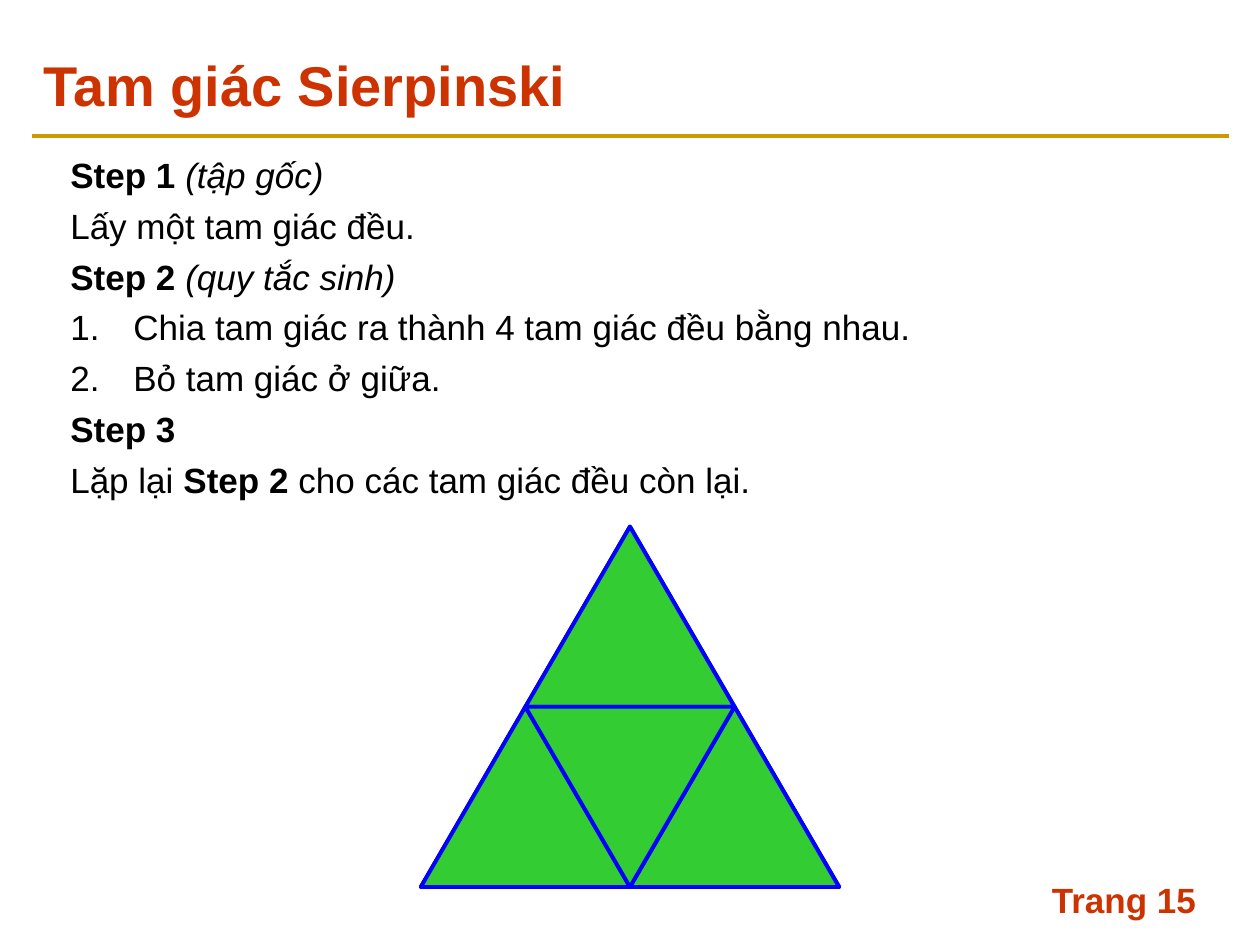
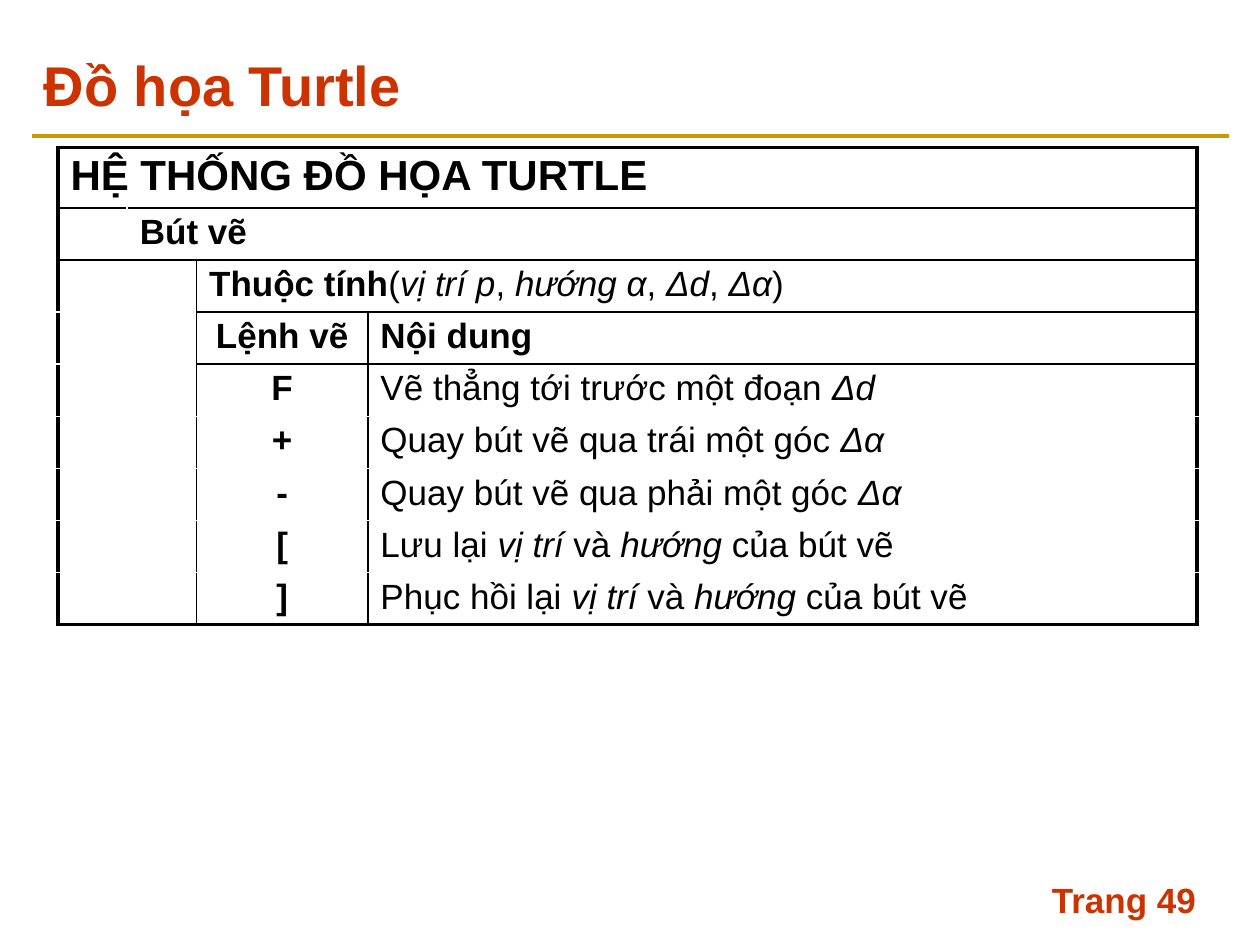
from lxml.etree import SubElement
from pptx import Presentation
from pptx.dml.color import RGBColor
from pptx.enum.shapes import MSO_CONNECTOR
from pptx.enum.text import MSO_ANCHOR, PP_ALIGN
from pptx.oxml.ns import qn
from pptx.util import Inches, Pt

# Shared look
FONT = "Arial"
BLACK, WHITE = "000000", "FFFFFF"
TITLE_RED, RULE_GOLD = "CC3300", "CC9900"
TRIANGLE_FILL, TRIANGLE_LINE = "33CC33", "0000FF"
LINE_WIDTH = 2.25
BODY_SIZE = 20

# Slide 1: steps as (runs, numbered); a run is (text, style letters b and i)
STEPS_TITLE, STEPS_PAGE = "Tam giác Sierpinski", 15
STEPS = [
    ([("Step 1", "b"), (" (tập gốc)", "i")], False),
    ([("Lấy một tam giác đều.", "")], False),
    ([("Step 2", "b"), (" (quy tắc sinh)", "i")], False),
    ([("Chia tam giác ra thành 4 tam giác đều bằng nhau.", "")], True),
    ([("Bỏ tam giác ở giữa.", "")], True),
    ([("Step 3", "b")], False),
    ([("Lặp lại ", ""), ("Step 2", "b"),
      (" cho các tam giác đều còn lại.", "")], False),
]
APEX, RIGHT_CORNER, LEFT_CORNER = (5, 4.18), (6.66, 7.04), (3.34, 7.04)

# Slide 2: table cells by (row, column)
TURTLE_TITLE, TURTLE_PAGE = "Đồ họa Turtle", 49
COLUMN_WIDTHS = [0.55, 0.55, 1.36, 6.58]
ROW_HEIGHTS = [0.47] + [0.41] * 8
HEADINGS = {
    (0, 0): [("HỆ THỐNG ĐỒ HỌA TURTLE", "b")],
    (1, 1): [("Bút vẽ", "b")],
    (2, 2): [("Thuộc tính", "b"), ("(", ""), ("vị trí p", "i"), (", ", ""),
             ("hướng α", "i"), (", ", ""), ("Δd", "i"), (", ", ""),
             ("Δα", "i"), (")", "")],
}
COMMANDS = [
    ("Lệnh vẽ", [("Nội dung", "b")]),
    ("F", [("Vẽ thẳng tới trước một đoạn ", ""), ("Δd", "i")]),
    ("+", [("Quay bút vẽ qua trái một góc ", ""), ("Δα", "i")]),
    ("-", [("Quay bút vẽ qua phải một góc ", ""), ("Δα", "i")]),
    ("[", [("Lưu lại ", ""), ("vị trí", "i"), (" và ", ""),
           ("hướng", "i"), (" của bút vẽ", "")]),
    ("]", [("Phục hồi lại ", ""), ("vị trí", "i"), (" và", ""),
           (" hướng", "i"), (" của bút vẽ", "")]),
]
FIRST_COMMAND_ROW = 3


def color(value):
    return RGBColor.from_string(value)


def add_runs(paragraph, runs, size=BODY_SIZE, text_color=BLACK):
    for text, style in runs:
        run = paragraph.add_run()
        run.text = text
        formats = {"name": FONT, "size": Pt(size),
                   "bold": "b" in style, "italic": "i" in style}
        for name, value in formats.items():
            setattr(run.font, name, value)
        run.font.color.rgb = color(text_color)


def add_text_box(slide, left, top, width, height, anchor=MSO_ANCHOR.TOP):
    box = slide.shapes.add_textbox(
        Inches(left), Inches(top), Inches(width), Inches(height))
    box.text_frame.word_wrap = True
    box.text_frame.vertical_anchor = anchor
    return box.text_frame


def add_framed_slide(presentation, title, page):
    """Add a slide with the title, gold rule and page number."""
    slide = presentation.slides.add_slide(presentation.slide_layouts[6])
    rule = slide.shapes.add_connector(
        MSO_CONNECTOR.STRAIGHT,
        Inches(0.25), Inches(1.08), Inches(9.75), Inches(1.08))
    rule.line.color.rgb = color(RULE_GOLD)
    rule.line.width = Pt(LINE_WIDTH)
    SubElement(rule._element.spPr, qn("a:effectLst"))

    title_frame = add_text_box(slide, 0.25, 0.33, 9.5, 0.67, MSO_ANCHOR.MIDDLE)
    add_runs(title_frame.paragraphs[0], [(title, "b")], 32, TITLE_RED)
    page_frame = add_text_box(slide, 8.25, 6.92, 1.5, 0.5)
    add_runs(page_frame.paragraphs[0], [(f"Trang {page}", "b")],
             BODY_SIZE, TITLE_RED)
    return slide


def add_steps(slide):
    frame = add_text_box(slide, 0.46, 1.17, 9.1, 2.83)
    for index, (runs, numbered) in enumerate(STEPS):
        paragraph = frame.add_paragraph() if index else frame.paragraphs[0]
        properties = paragraph._p.get_or_add_pPr()
        properties.set("marL", str(Inches(0.5)))
        properties.set("indent", str(Inches(-0.5)))
        if numbered:
            SubElement(properties, qn("a:buAutoNum"), type="arabicPeriod")
        else:
            SubElement(properties, qn("a:buNone"))
        if index:
            paragraph.space_before = Pt(5)
        add_runs(paragraph, runs)


def midpoint(start, end):
    return (start[0] + end[0]) / 2, (start[1] + end[1]) / 2


def add_triangle(slide, *corners):
    points = [(Inches(x), Inches(y)) for x, y in corners]
    builder = slide.shapes.build_freeform(*points[0])
    builder.add_line_segments(points[1:], close=True)
    triangle = builder.convert_to_shape()
    triangle.shadow.inherit = False
    triangle.fill.solid()
    triangle.fill.fore_color.rgb = color(TRIANGLE_FILL)
    triangle.line.color.rgb = color(TRIANGLE_LINE)
    triangle.line.width = Pt(LINE_WIDTH)
    SubElement(triangle.line._get_or_add_ln(), qn("a:round"))


def add_sierpinski(slide):
    left_middle = midpoint(APEX, LEFT_CORNER)
    right_middle = midpoint(APEX, RIGHT_CORNER)
    base_middle = midpoint(LEFT_CORNER, RIGHT_CORNER)
    for corners in [
        (APEX, RIGHT_CORNER, LEFT_CORNER),
        (left_middle, base_middle, LEFT_CORNER),
        (APEX, right_middle, left_middle),
        (right_middle, RIGHT_CORNER, base_middle),
        (right_middle, base_middle, left_middle),
    ]:
        add_triangle(slide, *corners)


def horizontal_edge(row, column):
    """Colour and width of the edge above a cell."""
    if row in (0, len(ROW_HEIGHTS)):
        return BLACK, LINE_WIDTH
    ruled = row in (1, 2) or (row in (3, 4) and column >= 2)
    return (BLACK if ruled else WHITE), 1


def vertical_edge(row, column):
    """Colour and width of the edge left of a cell; None inside a merge."""
    if column in (0, len(COLUMN_WIDTHS)):
        return BLACK, LINE_WIDTH
    if row <= 2 and column > row:
        return None
    ruled = row >= 2 and column >= 2
    return (BLACK if ruled else WHITE), 1


def set_borders(cell, row, column):
    span = cell.span_width if cell.is_merge_origin else 1
    edges = {"a:lnL": vertical_edge(row, column),
             "a:lnR": vertical_edge(row, column + span),
             "a:lnT": horizontal_edge(row, column),
             "a:lnB": horizontal_edge(row + 1, column)}
    properties = cell._tc.get_or_add_tcPr()
    for tag, edge in edges.items():
        if edge:
            line = SubElement(properties, qn(tag), w=str(Pt(edge[1])))
            fill = SubElement(line, qn("a:solidFill"))
            SubElement(fill, qn("a:srgbClr"), val=edge[0])


def add_command_table(slide):
    table = slide.shapes.add_table(
        len(ROW_HEIGHTS), len(COLUMN_WIDTHS), Inches(0.46), Inches(1.17),
        Inches(sum(COLUMN_WIDTHS)), Inches(sum(ROW_HEIGHTS))).table
    table.first_row = table.horz_banding = False
    for column, width in zip(table.columns, COLUMN_WIDTHS):
        column.width = Inches(width)
    for row, height in zip(table.rows, ROW_HEIGHTS):
        row.height = Inches(height)

    # Each heading runs to the right edge
    for row, column in HEADINGS:
        table.cell(row, column).merge(table.cell(row, len(COLUMN_WIDTHS) - 1))

    for row in range(len(ROW_HEIGHTS)):
        for column in range(len(COLUMN_WIDTHS)):
            cell = table.cell(row, column)
            set_borders(cell, row, column)
            cell.fill.solid()
            cell.fill.fore_color.rgb = color(WHITE)
            cell.margin_top = cell.margin_bottom = Inches(0.04)

    for (row, column), runs in HEADINGS.items():
        add_runs(table.cell(row, column).text_frame.paragraphs[0], runs,
                 24 if row == 0 else BODY_SIZE)
    for row, (command, meaning) in enumerate(COMMANDS, FIRST_COMMAND_ROW):
        paragraph = table.cell(row, 2).text_frame.paragraphs[0]
        paragraph.alignment = PP_ALIGN.CENTER
        add_runs(paragraph, [(command, "b")])
        add_runs(table.cell(row, 3).text_frame.paragraphs[0], meaning)


def main():
    presentation = Presentation()
    presentation.slide_width = Inches(10)
    presentation.slide_height = Inches(7.5)

    steps_slide = add_framed_slide(presentation, STEPS_TITLE, STEPS_PAGE)
    add_steps(steps_slide)
    add_sierpinski(steps_slide)

    turtle_slide = add_framed_slide(presentation, TURTLE_TITLE, TURTLE_PAGE)
    add_command_table(turtle_slide)
    presentation.save("out.pptx")


if __name__ == "__main__":
    main()
